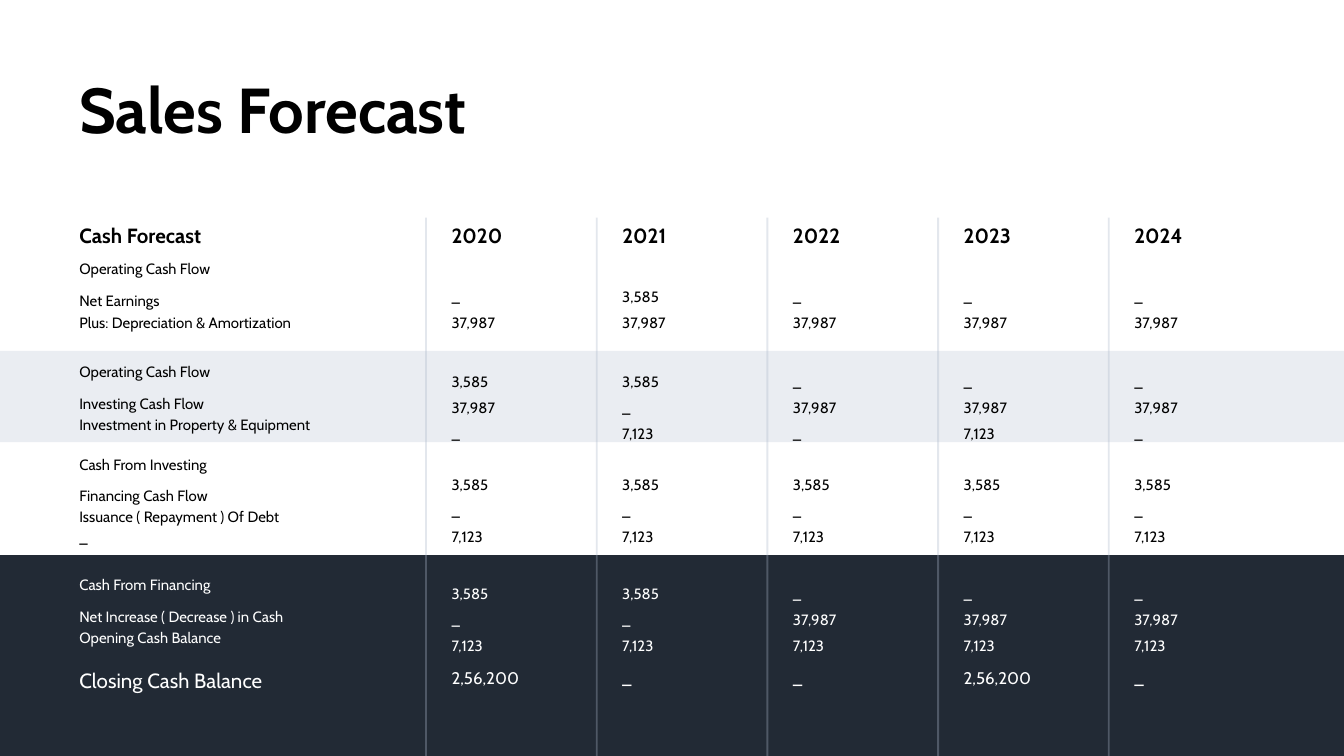
from dataclasses import dataclass

from lxml.etree import SubElement
from pptx import Presentation
from pptx.dml.color import RGBColor
from pptx.enum.shapes import MSO_CONNECTOR, MSO_SHAPE
from pptx.oxml.ns import qn
from pptx.slide import Slide
from pptx.util import Inches, Pt

BLACK = RGBColor(0x00, 0x00, 0x00)
WHITE = RGBColor(0xFF, 0xFF, 0xFF)
PALE_BLUE = RGBColor(0xD5, 0xDB, 0xE5)
NAVY = RGBColor(0x22, 0x2A, 0x35)
GREY_BLUE = RGBColor(0xAC, 0xB8, 0xCA)

FRAME_FORMAT = {
    "word_wrap": True,
    "margin_left": Inches(0.07),
    "margin_right": Inches(0.07),
    "margin_top": Inches(0.04),
    "margin_bottom": Inches(0.04),
}
LABEL_LEFT = 0.52
LABEL_SPACING = 1.18
YEAR_LEFT = 3.29
YEAR_PITCH = 1.27
YEAR_WIDTH = 1.03
VALUE_SPACING = 1.45
DIVIDER_LEFT = 3.17
HEADER_TOP = 1.62
CLOSING_TOP = 4.93
ROW_HEIGHT = 0.22
SLIDE_WIDTH = 10
SLIDE_HEIGHT = SLIDE_WIDTH * 9 / 16
TOTALS_TOP = 4.13

YEARS = ["2020", "2021", "2022", "2023", "2024"]
CLOSING_BALANCES = ["2,56,200", "_", "_", "2,56,200", "_"]


@dataclass
class Band:
    top: float
    height: float
    color: RGBColor
    alpha: int


@dataclass
class Section:
    heading: str
    heading_top: float
    items: list[str]
    items_top: float
    values_top: float
    values: list[list[str]]
    color: RGBColor = BLACK


BANDS = [
    Band(2.61, 0.68, PALE_BLUE, 48),
    Band(TOTALS_TOP, SLIDE_HEIGHT - TOTALS_TOP, NAVY, 100),
]

SECTIONS = [
    Section(
        "Operating Cash Flow", 1.89,
        ["Net Earnings", "Plus: Depreciation & Amortization"], 2.11, 2.04,
        [["_", "37,987"], ["3,585", "37,987"], ["_", "37,987"],
         ["_", "37,987"], ["_", "37,987"]],
    ),
    Section(
        "Operating Cash Flow", 2.66,
        ["Investing Cash Flow", "Investment in Property & Equipment"], 2.87, 2.67,
        [["3,585", "37,987", "_"], ["3,585", "_", "7,123"], ["_", "37,987", "_"],
         ["_", "37,987", "7,123"], ["_", "37,987", "_"]],
    ),
    Section(
        "Cash From Investing", 3.35,
        ["Financing Cash Flow", "Issuance ( Repayment ) Of Debt", "_"], 3.56, 3.44,
        [["3,585", "_", "7,123"]] * len(YEARS),
    ),
    Section(
        "Cash From Financing", 4.24,
        ["Net Increase ( Decrease ) in Cash", "Opening Cash Balance"], 4.46, 4.25,
        [["3,585", "_", "7,123"]] * 2 + [["_", "37,987", "7,123"]] * 3,
        WHITE,
    ),
]


def set_alpha(fill_parent, percent: int) -> None:
    color = next(fill_parent.iter(qn("a:srgbClr")))
    SubElement(color, qn("a:alpha")).set("val", str(percent * 1000))


def add_text(slide: Slide, lines: list[str], left: float, top: float, width: float,
             height: float = ROW_HEIGHT, size: float = 8, color: RGBColor = BLACK,
             bold: bool = False, spacing: float | None = None) -> None:
    frame = slide.shapes.add_textbox(
        Inches(left), Inches(top), Inches(width), Inches(height)).text_frame
    for attribute, value in FRAME_FORMAT.items():
        setattr(frame, attribute, value)
    frame.text = "\n".join(lines)
    font_format = {"name": "Cabin", "size": Pt(size), "bold": bold}
    for paragraph in frame.paragraphs:
        paragraph.line_spacing = spacing
        for run in paragraph.runs:
            for attribute, value in font_format.items():
                setattr(run.font, attribute, value)
            run.font.color.rgb = color


def add_band(slide: Slide, band: Band) -> None:
    stripe = slide.shapes.add_shape(
        MSO_SHAPE.RECTANGLE, Inches(0), Inches(band.top),
        Inches(SLIDE_WIDTH), Inches(band.height))
    stripe.shadow.inherit = False
    stripe.fill.solid()
    stripe.fill.fore_color.rgb = band.color
    stripe.line.fill.background()
    if band.alpha < 100:
        set_alpha(stripe._element.spPr, band.alpha)


def add_divider(slide: Slide, left: float) -> None:
    divider = slide.shapes.add_connector(
        MSO_CONNECTOR.STRAIGHT, Inches(left), Inches(SLIDE_HEIGHT),
        Inches(left), Inches(HEADER_TOP))
    divider.line.color.rgb = GREY_BLUE
    divider.line.width = Pt(1)
    properties = divider._element.spPr
    set_alpha(properties, 33)
    SubElement(properties, qn("a:effectLst"))


def add_section(slide: Slide, section: Section) -> None:
    add_text(slide, [section.heading], LABEL_LEFT, section.heading_top, 1.79,
             color=section.color)
    add_text(slide, section.items, LABEL_LEFT, section.items_top, 2.18,
             0.18 * len(section.items), color=section.color, spacing=LABEL_SPACING)
    for column, amounts in enumerate(section.values):
        add_text(slide, amounts, YEAR_LEFT + column * YEAR_PITCH, section.values_top,
                 YEAR_WIDTH, 0.17 + 0.12 * len(amounts), color=section.color,
                 spacing=VALUE_SPACING)


def main() -> None:
    presentation = Presentation()
    presentation.slide_width = Inches(SLIDE_WIDTH)
    presentation.slide_height = Inches(SLIDE_HEIGHT)
    slide = presentation.slides.add_slide(presentation.slide_layouts[6])

    add_text(slide, ["Sales Forecast"], LABEL_LEFT, 0.48, 8.07, 0.65, 34, bold=True)
    for band in BANDS:
        add_band(slide, band)
    add_text(slide, ["Cash Forecast"], LABEL_LEFT, HEADER_TOP, 1.79, size=11, bold=True)
    add_text(slide, ["Closing Cash Balance"], LABEL_LEFT, CLOSING_TOP, 2.31,
             size=11, color=WHITE)
    for column, (year, balance) in enumerate(zip(YEARS, CLOSING_BALANCES)):
        offset = column * YEAR_PITCH
        add_divider(slide, DIVIDER_LEFT + offset)
        add_text(slide, [year], YEAR_LEFT + offset, HEADER_TOP, 0.99, size=11, bold=True)
        add_text(slide, [balance], YEAR_LEFT + offset, CLOSING_TOP, YEAR_WIDTH,
                 size=9, color=WHITE)
    for section in SECTIONS:
        add_section(slide, section)

    presentation.save("out.pptx")


if __name__ == "__main__":
    main()
